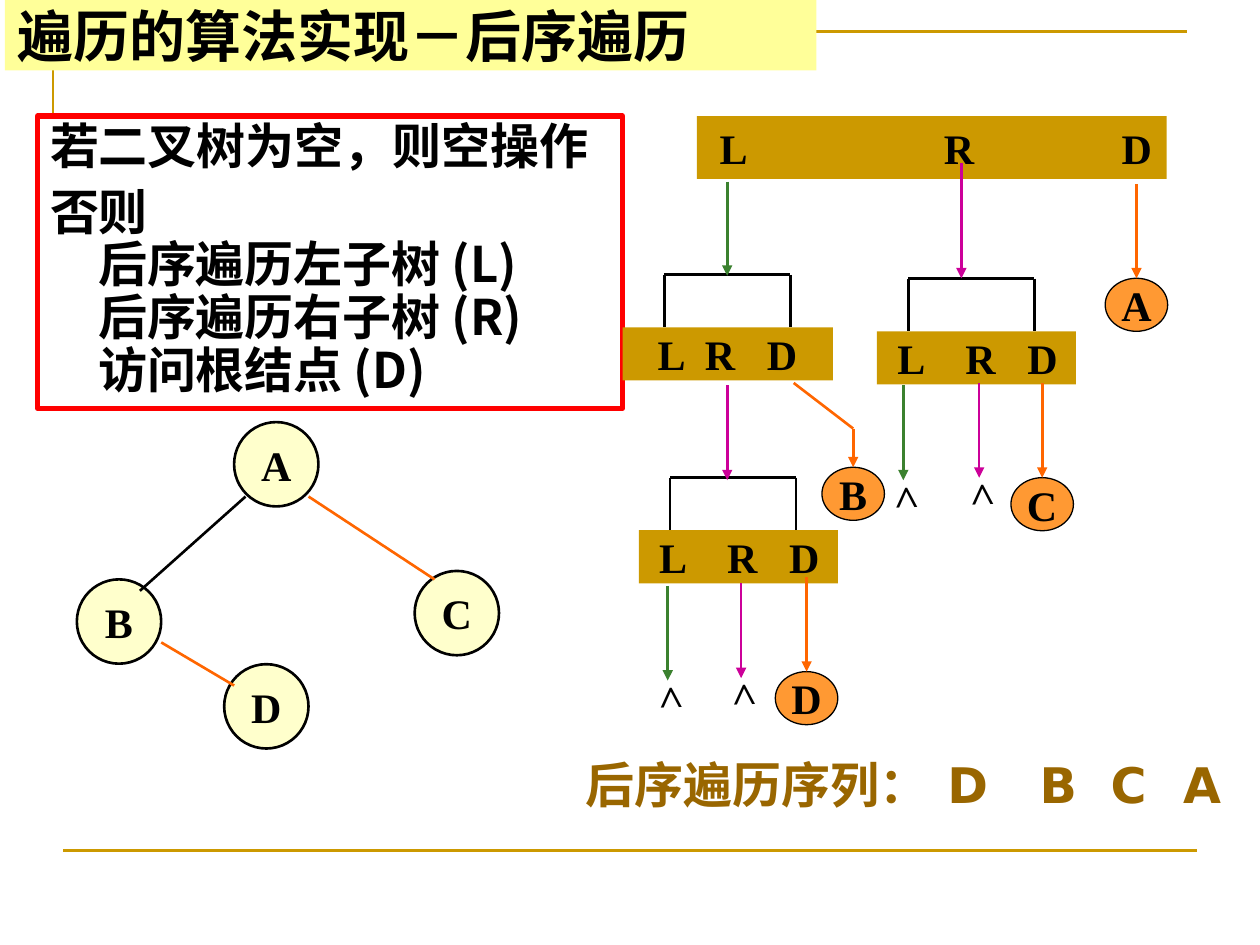
from pptx import Presentation
from pptx.dml.color import RGBColor
from pptx.enum.shapes import MSO_CONNECTOR, MSO_SHAPE
from pptx.enum.text import MSO_ANCHOR, PP_ALIGN
from pptx.oxml.ns import qn
from pptx.util import Cm, Pt
from lxml import etree

RECT, OVAL = MSO_SHAPE.RECTANGLE, MSO_SHAPE.OVAL
LINE = MSO_CONNECTOR.STRAIGHT
MID, TOP = MSO_ANCHOR.MIDDLE, MSO_ANCHOR.TOP
LEFT, CENTER = PP_ALIGN.LEFT, PP_ALIGN.CENTER

HAN, ROMAN, SANS = "Noto Sans CJK SC", "Times New Roman", "DejaVu Sans"
BLACK, GOLD, ORANGE = "000000", "CC9900", "FF6600"
GREEN, PINK = "3B812F", "CC0099"

TITLE = "遍历的算法实现－后序遍历"
RULES = [
    ["若二叉树为空，则空操作"],
    ["否则", "后序遍历左子树 (L)", "后序遍历右子树 (R)", "访问根结点 (D)"],
]
ORDER = "后序遍历序列：\tD\tB\tC\tA"
ORDER_TABS = [7.29, 9.15, 10.58, 12.04]

NODES = [("A", 4.72, 8.51), ("D", 4.52, 13.39), ("B", 1.55, 11.68), ("C", 8.36, 11.51)]
EDGES = [
    (4.95, 10.01, 2.82, 11.91, BLACK),
    (6.22, 10.01, 8.76, 11.68, ORANGE),
    (3.25, 12.95, 4.72, 13.82, ORANGE),
]

# left, top, width, height, inset, tabs, bracket left
CALLS = [
    (14.05, 2.34, 9.47, 1.27, 0.46, [4.52, 8.1], None),
    (12.55, 6.6, 4.24, 1.07, 0.71, [0.95, 2.2], 13.39),
    (17.68, 6.68, 4.01, 1.07, 0.41, [1.37, 2.62], 18.31),
    (12.88, 10.69, 4.01, 1.07, 0.41, [1.37, 2.62], 13.51),
]
SPAN, DROP = 2.54, 1.06

# x, start, end, colour
STEPS = [(14.66, 3.66, 5.56, GREEN), (19.38, 3.28, 5.61, PINK), (14.66, 7.77, 9.68, PINK)]
NILS = [
    (14.94, 11.76, 13.67, PINK),
    (13.46, 11.81, 13.72, GREEN),
    (19.74, 7.72, 9.63, PINK),
    (18.21, 7.77, 9.68, GREEN),
]
VISITS = [
    ("A", 22.91, 3.71, 5.61),
    ("D", 16.26, 11.63, 13.54),
    ("C", 21.01, 7.72, 9.63),
    ("B", 17.2, 8.64, 9.42),
]

deck = Presentation()
deck.slide_width, deck.slide_height = Cm(25.4), Cm(19.05)
slide = deck.slides.add_slide(deck.slide_layouts[6])
shapes = slide.shapes


def color(code):
    return RGBColor.from_string(code)


def paint(shape, fill=None, line=None, width=1.5):
    shape.shadow.inherit = False
    if fill:
        shape.fill.solid()
        shape.fill.fore_color.rgb = color(fill)
    else:
        shape.fill.background()
    if line:
        shape.line.color.rgb = color(line)
        shape.line.width = Pt(width)
    else:
        shape.line.fill.background()
    return shape


def block(kind, x, y, w, h, fill=None, line=None, width=1.5):
    return paint(shapes.add_shape(kind, Cm(x), Cm(y), Cm(w), Cm(h)), fill, line, width)


def label(x, y, w, h):
    return shapes.add_textbox(Cm(x), Cm(y), Cm(w), Cm(h))


def write(shape, paras, size, face, tint=BLACK, align=LEFT, anchor=MID,
          inset=0.25, tabs=(), wrap=True):
    frame = shape.text_frame
    frame.word_wrap = wrap
    frame.vertical_anchor = anchor
    frame.margin_left, frame.margin_right = Cm(inset), Cm(0.25)
    frame.margin_top = frame.margin_bottom = Cm(0.13)
    for i, lines in enumerate(paras):
        para = frame.add_paragraph() if i else frame.paragraphs[0]
        para.alignment = align
        if tabs:
            stops = etree.SubElement(para._p.get_or_add_pPr(), qn("a:tabLst"))
            for tab in tabs:
                etree.SubElement(stops, qn("a:tab"), pos=str(Cm(tab)), algn="l")
        for j, text in enumerate(lines):
            if j:
                para.add_line_break()
            run = para.add_run()
            run.text = text
            font = run.font
            font.size, font.bold, font.name = Pt(size), True, face
            font.color.rgb = color(tint)
            east = HAN if face == SANS else face
            etree.SubElement(run._r.get_or_add_rPr(), qn("a:ea"), typeface=east)
    return frame


def link(x1, y1, x2, y2, tint, head=False):
    line = shapes.add_connector(LINE, Cm(x1), Cm(y1), Cm(x2), Cm(y2))
    line.line.color.rgb = color(tint)
    line.line.width = Pt(1.5)
    if head:
        etree.SubElement(line.line._get_or_add_ln(), qn("a:tailEnd"), type="triangle")
    etree.SubElement(line._element.spPr, qn("a:effectLst"))
    return line


pen = shapes.build_freeform(Cm(1.07), Cm(2.34))
pen.add_line_segments([(Cm(1.07), Cm(0.64)), (Cm(23.93), Cm(0.64))], close=False)
paint(pen.convert_to_shape(), line=GOLD)
link(1.27, 17.15, 24.13, 17.15, GOLD)

write(block(RECT, 0.1, 0, 16.36, 1.42, "FFFF99"), [[TITLE]], 32, HAN)

box = block(RECT, 0.76, 2.34, 11.79, 5.89, line="FF0000", width=3)
for i, para in enumerate(write(box, RULES, 28, HAN, anchor=TOP).paragraphs):
    para.line_spacing = 0.9
    if i:
        para.space_before = Pt(7)
    props = para._p.get_or_add_pPr()
    props.set("marL", str(Cm(0.97)))
    props.set("indent", str(-Cm(0.97)))

for name, x, y in NODES:
    node = block(OVAL, x, y, 1.7, 1.7, "FFFFCC", BLACK)
    write(node, [[name]], 24, ROMAN, align=CENTER, wrap=False)
for edge in EDGES:
    link(*edge)

for x, y, w, h, inset, tabs, left in CALLS:
    if left:
        top, right = y - DROP, left + SPAN
        link(left, top, right, top, BLACK)
        for side in (left, right):
            link(side, top, side, y, BLACK)
    write(block(RECT, x, y, w, h, GOLD), [["L\tR\tD"]], 24, ROMAN, inset=inset, tabs=tabs)

for x, start, end, tint in STEPS + NILS:
    link(x, start, x, end, tint, True)
for x, start, end, tint in NILS:
    mark = label(x - 0.53, end - 0.33, 1.07, 1.27)
    mark.rotation = 268.3
    write(mark, [[">"]], 24, ROMAN, anchor=TOP)

link(16, 7.72, 17.2, 8.64, ORANGE)
for name, x, start, end in VISITS:
    node = block(OVAL, x - 0.63, end, 1.26, 1.07, "FF9933", BLACK, 0.75)
    write(node, [[name]], 24, ROMAN, align=CENTER, wrap=False)
    link(x, start, x, end, ORANGE, True).end_connect(node, 0)

write(label(11.56, 15.09, 13.54, 1.45), [[ORDER]], 28, SANS, "996600",
      anchor=TOP, tabs=ORDER_TABS)

deck.save("out.pptx")
